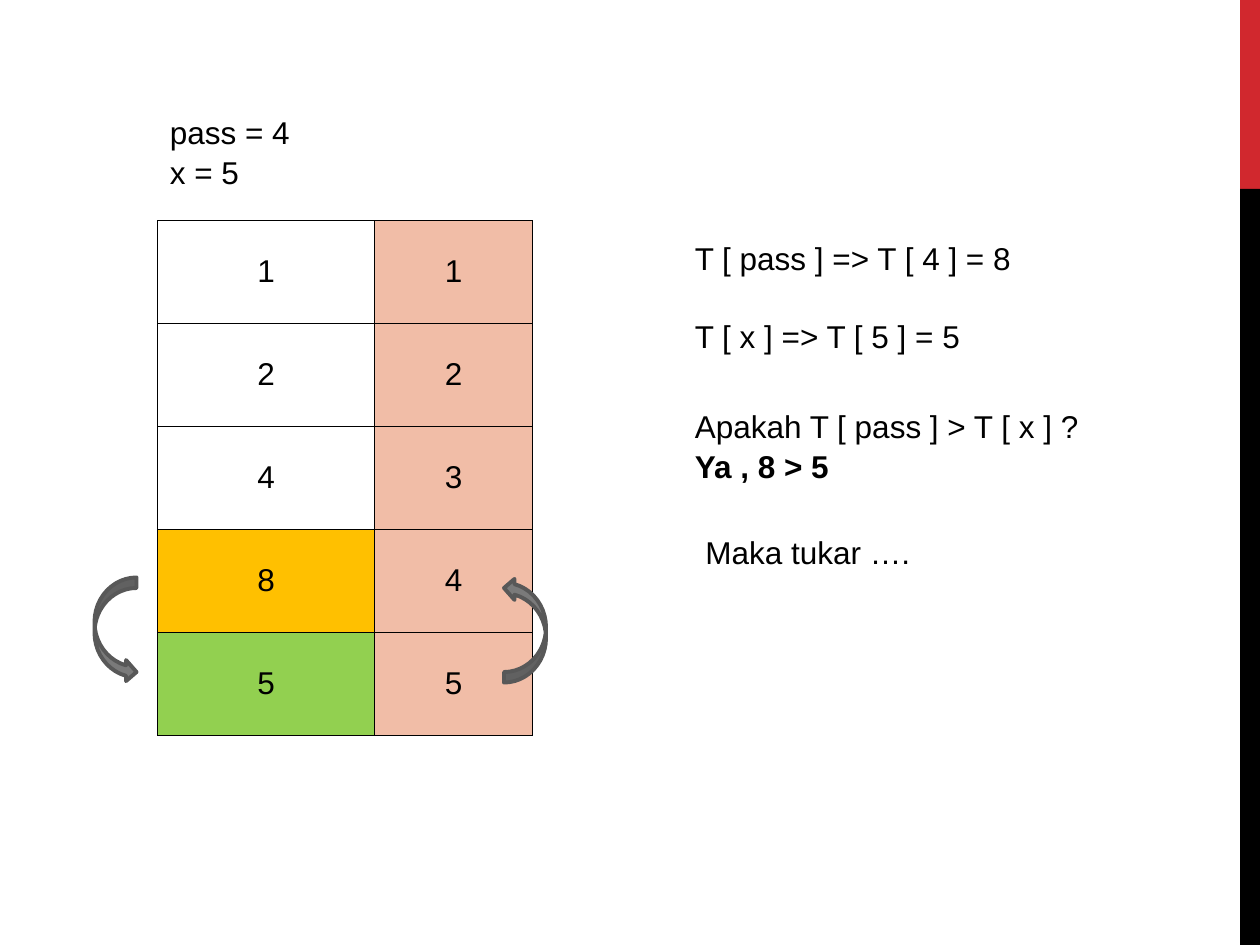
from lxml.etree import SubElement
from pptx import Presentation
from pptx.dml.color import RGBColor
from pptx.enum.shapes import MSO_SHAPE
from pptx.enum.text import MSO_ANCHOR, PP_ALIGN
from pptx.oxml.ns import qn
from pptx.util import Inches, Pt

RED = RGBColor(0xD1, 0x28, 0x2E)
BLACK = RGBColor(0x00, 0x00, 0x00)
PEACH = RGBColor(0xF1, 0xBD, 0xA7)
AMBER = RGBColor(0xFF, 0xC0, 0x00)
GREEN = RGBColor(0x92, 0xD0, 0x50)
GRAY = RGBColor(0x7A, 0x7A, 0x7A)
DARK_GRAY = RGBColor(0x58, 0x58, 0x58)

VALUES = [1, 2, 4, 8, 5]
HIGHLIGHTS = {3: AMBER, 4: GREEN}


class Board:
    """Draws styled elements on a slide, on a grid of 120 columns by 90 rows."""

    font = "Arial"
    size = Pt(18)
    leading = 1.05

    def __init__(self, prs):
        self.unit_x = prs.slide_width / 120
        self.unit_y = prs.slide_height / 90
        self.shapes = prs.slides.add_slide(prs.slide_layouts[6]).shapes

    def box(self, x, y, w, h):
        """Turn grid columns and rows into lengths."""
        ux, uy = self.unit_x, self.unit_y
        return round(x * ux), round(y * uy), round(w * ux), round(h * uy)

    def run(self, p, text, bold=False):
        """Add one styled run to a paragraph."""
        r = p.add_run()
        r.text = text
        r.font.name, r.font.size, r.font.bold = self.font, self.size, bold
        r.font.color.rgb = BLACK

    def text(self, x, y, w, h, *paragraphs, gap=0):
        """Add a text box; each paragraph is a list of (text, bold) runs."""
        tf = self.shapes.add_textbox(*self.box(x, y, w, h)).text_frame
        tf.word_wrap = True
        for i, runs in enumerate(paragraphs):
            p = tf.add_paragraph() if i else tf.paragraphs[0]
            p.line_spacing = self.leading
            if i:
                p.space_before = Pt(gap)
            for text, bold in runs:
                self.run(p, text, bold)

    def shape(self, kind, x, y, w, h, fill, line=None, rotation=0):
        """Add a filled preset shape with an optional outline."""
        sp = self.shapes.add_shape(kind, *self.box(x, y, w, h))
        sp.shadow.inherit = False
        sp.rotation = rotation
        sp.fill.solid()
        sp.fill.fore_color.rgb = fill
        if line is None:
            sp.line.fill.background()
        else:
            sp.line.color.rgb = line
            sp.line.width = Pt(2.25)

    def cell(self, cell, text, fill):
        """Fill, outline and label one table cell."""
        cell.vertical_anchor = MSO_ANCHOR.MIDDLE
        p = cell.text_frame.paragraphs[0]
        p.alignment = PP_ALIGN.CENTER
        self.run(p, text)
        tc_pr = cell._tc.get_or_add_tcPr()
        for side in ("a:lnL", "a:lnR", "a:lnT", "a:lnB"):
            ln = SubElement(tc_pr, qn(side), w=str(Pt(0.45)))
            solid = SubElement(ln, qn("a:solidFill"))
            SubElement(solid, qn("a:srgbClr"), val=str(BLACK))
        if fill is None:
            cell.fill.background()
        else:
            cell.fill.solid()
            cell.fill.fore_color.rgb = fill

    def array(self, x, y, w, h, values, highlights, value_share):
        """Add a table of values beside their one-based positions."""
        frame = self.shapes.add_table(len(values), 2, *self.box(x, y, w, h))
        table = frame.table
        table.first_row = table.horz_banding = False
        table.columns[0].width = round(frame.width * value_share)
        table.columns[1].width = frame.width - table.columns[0].width
        for i, value in enumerate(values):
            self.cell(table.cell(i, 0), str(value), highlights.get(i))
            self.cell(table.cell(i, 1), str(i + 1), PEACH)


def main():
    prs = Presentation()
    prs.slide_width, prs.slide_height = Inches(10), Inches(7.5)
    board = Board(prs)

    board.shape(MSO_SHAPE.RECTANGLE, 118.1, 0, 1.9, 18, RED)
    board.shape(MSO_SHAPE.RECTANGLE, 118.1, 18, 1.9, 72, BLACK)
    board.array(15, 21, 30, 49, VALUES, HIGHLIGHTS, 0.69)

    board.text(15, 10, 22, 8.4, [("pass = 4", False)], [("x = 5", False)])
    board.text(65, 22, 43, 12, [("T [ pass ] => T [ 4 ] = 8", False)],
               [("T [ x ] => T [ 5 ] = 5", False)], gap=21.7)
    board.text(65, 38, 41, 8.4, [("Apakah T [ pass ] > T [ x ] ? ", False),
                                 ("Ya , 8 > 5", True)])
    board.text(66, 50, 38, 4.8, [("Maka tukar ….", False)])

    for x, rotation in ((9, 0), (48, 180)):
        board.shape(MSO_SHAPE.CURVED_RIGHT_ARROW, x, 55, 4, 10,
                    GRAY, DARK_GRAY, rotation)

    prs.save("out.pptx")


if __name__ == "__main__":
    main()
